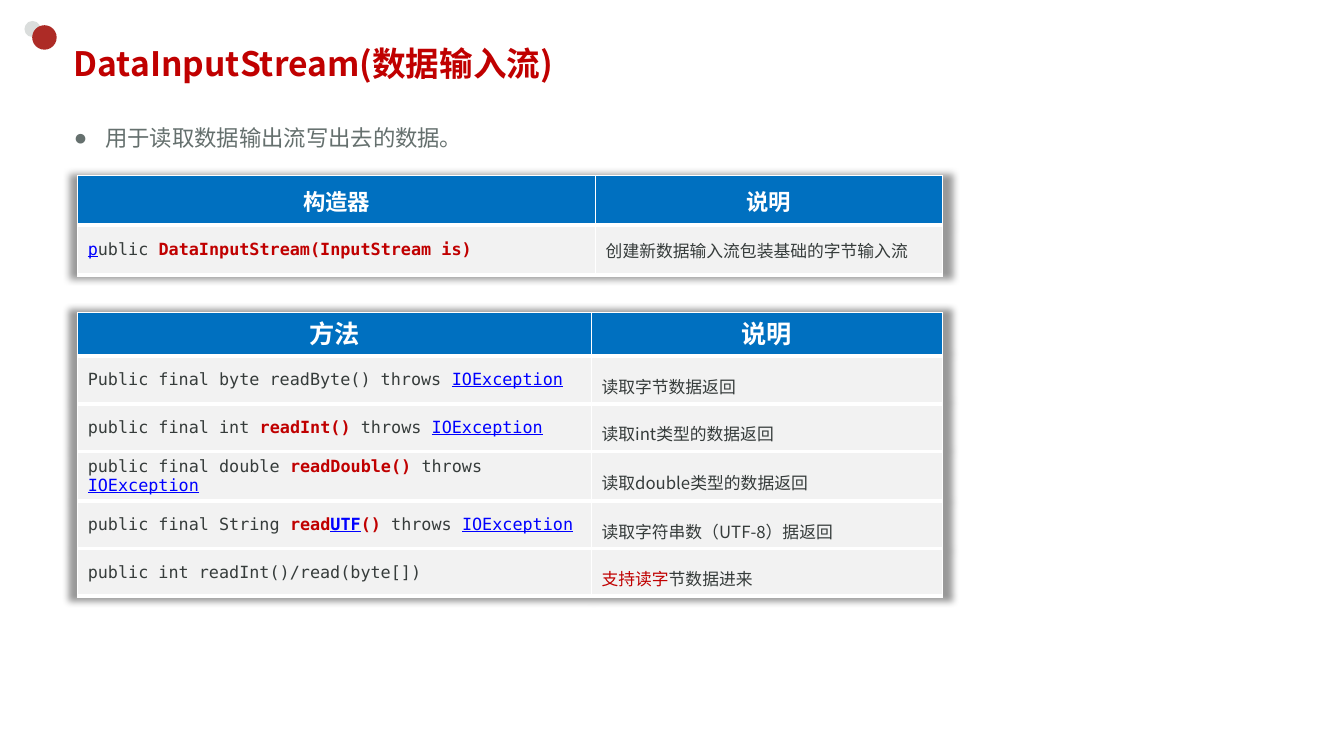
from lxml import etree
from pptx import Presentation
from pptx.dml.color import RGBColor
from pptx.enum.shapes import MSO_SHAPE
from pptx.enum.text import MSO_ANCHOR, PP_ALIGN
from pptx.oxml import parse_xml
from pptx.oxml.ns import nsdecls, qn
from pptx.util import Pt

OVAL = MSO_SHAPE.OVAL
MIDDLE = MSO_ANCHOR.MIDDLE
CENTER = PP_ALIGN.CENTER
LEFT = PP_ALIGN.LEFT
CJK = "Noto Sans CJK JP"
MONO = "DejaVu Sans Mono"
RED, BLUE, DARK, WHITE = "C00000", "0000FF", "363C3B", "FFFFFF"
STYLES = {
    "plain": (DARK, False, False),
    "red": (RED, False, False),
    "key": (RED, True, False),
    "link": (BLUE, False, True),
    "key link": (BLUE, True, True),
    "head": (WHITE, True, False),
}


def color(value):
    return RGBColor.from_string(value)


def format_span(span, font_name, size, hex_color, bold=False, underline=False):
    span.font.size = Pt(size)
    span.font.bold = bold
    span.font.underline = underline
    span.font.color.rgb = color(hex_color)
    span.font.name = font_name
    etree.SubElement(span.font._element, qn("a:ea")).set("typeface", CJK)


deck = Presentation()
deck.slide_width, deck.slide_height = Pt(960), Pt(540)
page = deck.slides.add_slide(deck.slide_layouts[1])

for left, top, size, fill in [(17.5, 15, 11.5, "DADDDC"), (23, 18, 17.5, "AD2B26")]:
    dot = page.shapes.add_shape(OVAL, Pt(left), Pt(top), Pt(size), Pt(size))
    dot.shadow.inherit = False
    dot.fill.solid()
    dot.fill.fore_color.rgb = color(fill)
    dot.line.fill.background()

title, body = page.placeholders
boxes = [
    (title, (45.5, 26.5, 846, 37.5), "DataInputStream(数据输入流)", (CJK, 24, RED, True)),
    (body, (45.5, 85, 300, 26.5), "用于读取数据输出流写出去的数据。", (MONO, 16, "65706E")),
]
for box, place, text, look in boxes:
    box.left, box.top, box.width, box.height = [Pt(value) for value in place]
    frame = box.text_frame
    frame.text = text
    frame.vertical_anchor = MIDDLE
    para = frame.paragraphs[0]
    para.alignment = LEFT
    para.space_before = Pt(0)
    format_span(para.runs[0], *look)

body.text_frame.word_wrap = False
bullet = body.text_frame.paragraphs[0]._p.get_or_add_pPr()
bullet.set("marL", str(Pt(22.5)))
bullet.set("indent", str(Pt(-22.5)))
etree.SubElement(bullet, qn("a:buFont")).set("typeface", "Arial")
etree.SubElement(bullet, qn("a:buChar")).set("char", "●")

exception = ("IOException", "link")
constructors = [
    ([("构造器", "head")], [("说明", "head")]),
    ([("p", "link"), ("ublic ", "plain"), ("DataInputStream(InputStream is)", "key")],
     [("创建新数据输入流包装基础的字节输入流", "plain")]),
]
methods = [
    ([("方法", "head")], [("说明", "head")]),
    ([("Public final byte readByte() throws ", "plain"), exception],
     [("读取字节数据返回", "plain")]),
    ([("public final int ", "plain"), ("readInt() ", "key"), ("throws ", "plain"), exception],
     [("读取int类型的数据返回", "plain")]),
    ([("public final double ", "plain"), ("readDouble() ", "key"), ("throws ", "plain"), exception],
     [("读取double类型的数据返回", "plain")]),
    ([("public final String ", "plain"), ("read", "key"), ("UTF", "key link"), ("()", "key"),
      (" throws ", "plain"), exception],
     [("读取字符串数（UTF-8）据返回", "plain")]),
    ([("public int readInt()/read(byte[])", "plain")],
     [("支持读字", "red"), ("节数据进来", "plain")]),
]
tables = [
    (constructors, 125.3, (370, 247.5), 35.5, 35.5, 16, None, None),
    (methods, 223.2, (367, 250.5), 31.2, 34, 18, Pt(24), 1.5),
]
for rows, top, widths, head_height, row_height, head_size, head_spacing, note_spacing in tables:
    height = head_height + row_height * (len(rows) - 1)
    holder = page.shapes.add_table(len(rows), 2, Pt(55.5), Pt(top), Pt(sum(widths)), Pt(height))
    table = holder.table
    table._tbl.tblPr.insert(0, parse_xml(
        f'<a:effectLst {nsdecls("a")}><a:outerShdw blurRad="63500" sx="102000" sy="102000" '
        'algn="ctr" rotWithShape="0"><a:srgbClr val="000000"><a:alpha val="40000"/>'
        '</a:srgbClr></a:outerShdw></a:effectLst>'))
    for column, width in zip(table.columns, widths):
        column.width = Pt(width)
    for row_index, row in enumerate(rows):
        is_head = row_index == 0
        table.rows[row_index].height = Pt(head_height if is_head else row_height)
        for column_index, spans in enumerate(row):
            cell = table.cell(row_index, column_index)
            cell.vertical_anchor = MIDDLE
            para = cell.text_frame.paragraphs[0]
            if is_head:
                para.alignment = CENTER
                para.line_spacing = head_spacing
            elif column_index == 1:
                para.line_spacing = note_spacing
            font_name = "Arial" if is_head else (MONO, CJK)[column_index]
            for text, style in spans:
                span = para.add_run()
                span.text = text
                format_span(span, font_name, head_size if is_head else 12, *STYLES[style])
            properties = cell._tc.get_or_add_tcPr()
            for side, width in [("L", 1), ("R", 1), ("T", 1 if is_head else 3), ("B", 3)]:
                properties.append(parse_xml(
                    f'<a:ln{side} {nsdecls("a")} w="{Pt(width)}"><a:solidFill>'
                    f'<a:srgbClr val="{WHITE}"/></a:solidFill></a:ln{side}>'))
            cell.fill.solid()
            cell.fill.fore_color.rgb = color("0070C0" if is_head else "F2F2F2")

deck.save("out.pptx")
